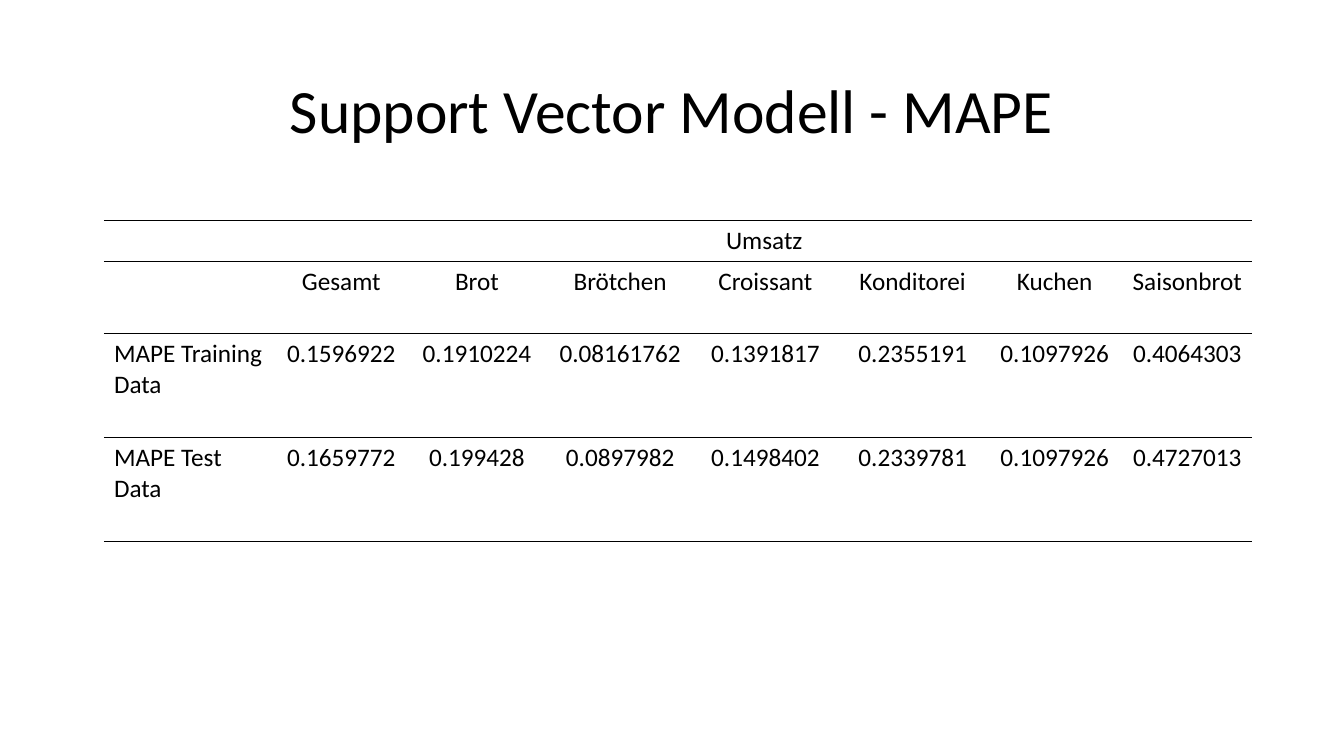
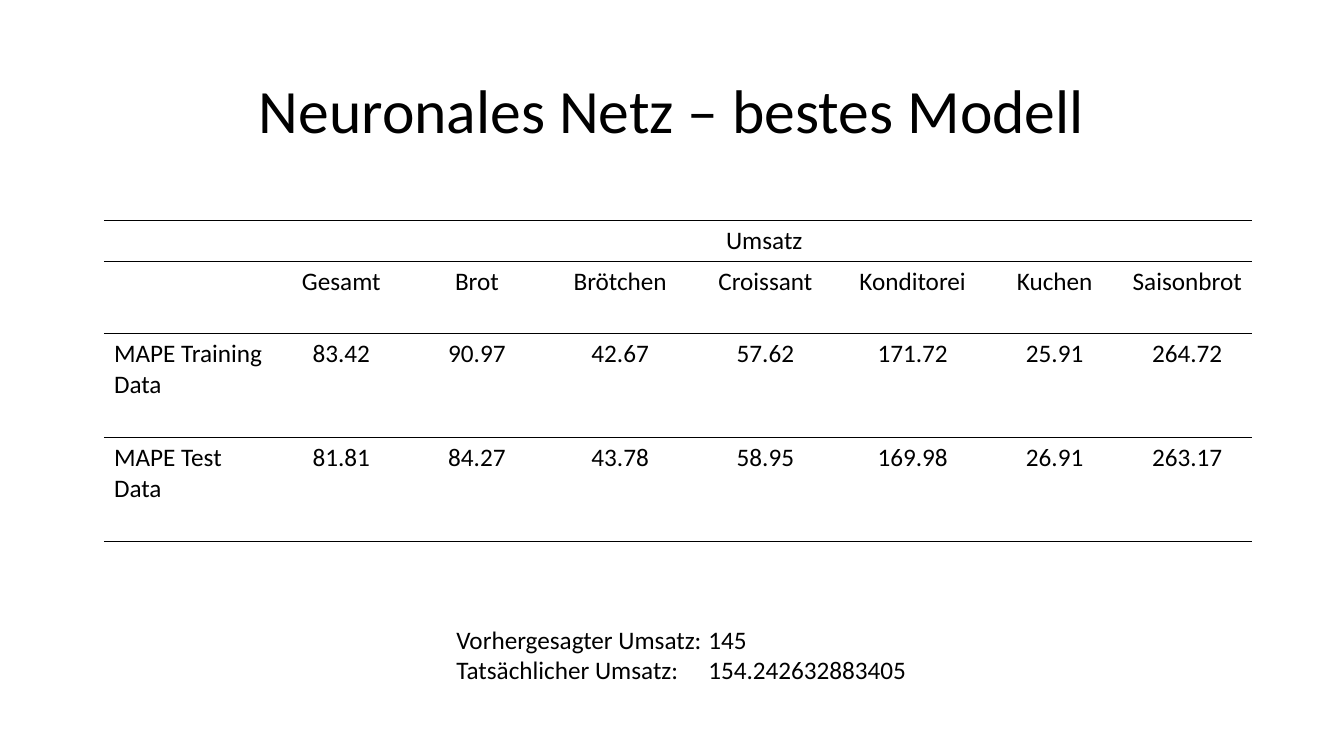
from lxml.etree import SubElement
from pptx import Presentation
from pptx.dml.color import RGBColor
from pptx.enum.text import MSO_ANCHOR, PP_ALIGN
from pptx.oxml.ns import qn
from pptx.util import Cm, Pt

FONT, INK = "Calibri", "000000"
TITLE_BOX = (2.33, 1.02, 29.21, 3.68)
TABLE_BOX = (2.62, 5.56, 28.94, 8.09)
NOTE_BOX = (11.25, 15.6, 16.94, 1.8)
COLS = (4.34, 3.28, 3.56, 3.66, 3.66, 3.76, 3.4, 3.28)
ROWS = (1.03, 1.82, 2.62, 2.62)
PRODUCTS = ["Gesamt", "Brot", "Brötchen", "Croissant", "Konditorei", "Kuchen", "Saisonbrot"]

SLIDES = [
    ("Support Vector Modell - MAPE",
     ["0.1596922", "0.1910224", "0.08161762", "0.1391817", "0.2355191", "0.1097926", "0.4064303"],
     ["0.1659772", "0.199428", "0.0897982", "0.1498402", "0.2339781", "0.1097926", "0.4727013"],
     []),
    ("Neuronales Netz – bestes Modell",
     ["83.42", "90.97", "42.67", "57.62", "171.72", "25.91", "264.72"],
     ["81.81", "84.27", "43.78", "58.95", "169.98", "26.91", "263.17"],
     ["Vorhergesagter Umsatz:\t145", "Tatsächlicher Umsatz:\t154.242632883405"]),
]


def rgb(value):
    """Turn a hex string into a colour."""
    return RGBColor.from_string(value)


def write(p, text, size=18, align=PP_ALIGN.LEFT):
    """Fill a paragraph with text in the shared style."""
    p.text = text
    p.alignment = align
    p.font.name, p.font.size = FONT, Pt(size)
    p.font.color.rgb = rgb(INK)


def rule_cell(cell):
    """Give a cell black rules above and below and open sides."""
    tc_pr = cell._tc.get_or_add_tcPr()
    for side in ("lnL", "lnR"):
        SubElement(SubElement(tc_pr, qn(f"a:{side}")), qn("a:noFill"))
    for side in ("lnT", "lnB"):
        ln = SubElement(tc_pr, qn(f"a:{side}"), w=str(Pt(1)))
        SubElement(SubElement(ln, qn("a:solidFill")), qn("a:srgbClr"), val=INK)
    cell.fill.background()


def add_title(s, box, text):
    """Place the title placeholder in its box."""
    sp = s.shapes.title
    sp.left, sp.top, sp.width, sp.height = map(Cm, box)
    tf = sp.text_frame
    tf.vertical_anchor = MSO_ANCHOR.MIDDLE
    p = tf.paragraphs[0]
    write(p, text, 44, PP_ALIGN.CENTER)
    p.line_spacing = 0.9


def add_error_table(s, box, training, test):
    """Place the table of errors per product."""
    table = s.shapes.add_table(len(ROWS), len(COLS), *map(Cm, box)).table
    table.first_row = table.horz_banding = False
    for col, width in zip(table.columns, COLS):
        col.width = Cm(width)
    for row, height in zip(table.rows, ROWS):
        row.height = Cm(height)
    table.cell(0, 1).merge(table.cell(0, len(COLS) - 1))
    rows = [["", "Umsatz"] + [""] * (len(COLS) - 2), ["", *PRODUCTS],
            ["MAPE Training Data", *training], ["MAPE Test Data", *test]]
    for i, texts in enumerate(rows):
        for j, text in enumerate(texts):
            cell = table.cell(i, j)
            rule_cell(cell)
            if text:
                write(cell.text_frame.paragraphs[0], text,
                      align=PP_ALIGN.CENTER if j else PP_ALIGN.LEFT)


def add_note(s, box, lines):
    """Place the comparison of predicted and actual sales."""
    tf = s.shapes.add_textbox(*map(Cm, box)).text_frame
    tf.word_wrap = True
    for i, line in enumerate(lines):
        write(tf.add_paragraph() if i else tf.paragraphs[0], line)


def add_model_slide(prs, title, training, test, note):
    """Add one slide with the results of a model."""
    s = prs.slides.add_slide(prs.slide_layouts[5])
    add_title(s, TITLE_BOX, title)
    add_error_table(s, TABLE_BOX, training, test)
    if note:
        add_note(s, NOTE_BOX, note)


def main():
    """Build and save the presentation."""
    prs = Presentation()
    prs.slide_width, prs.slide_height = Cm(33.87), Cm(19.05)
    for content in SLIDES:
        add_model_slide(prs, *content)
    prs.save("out.pptx")


main()
